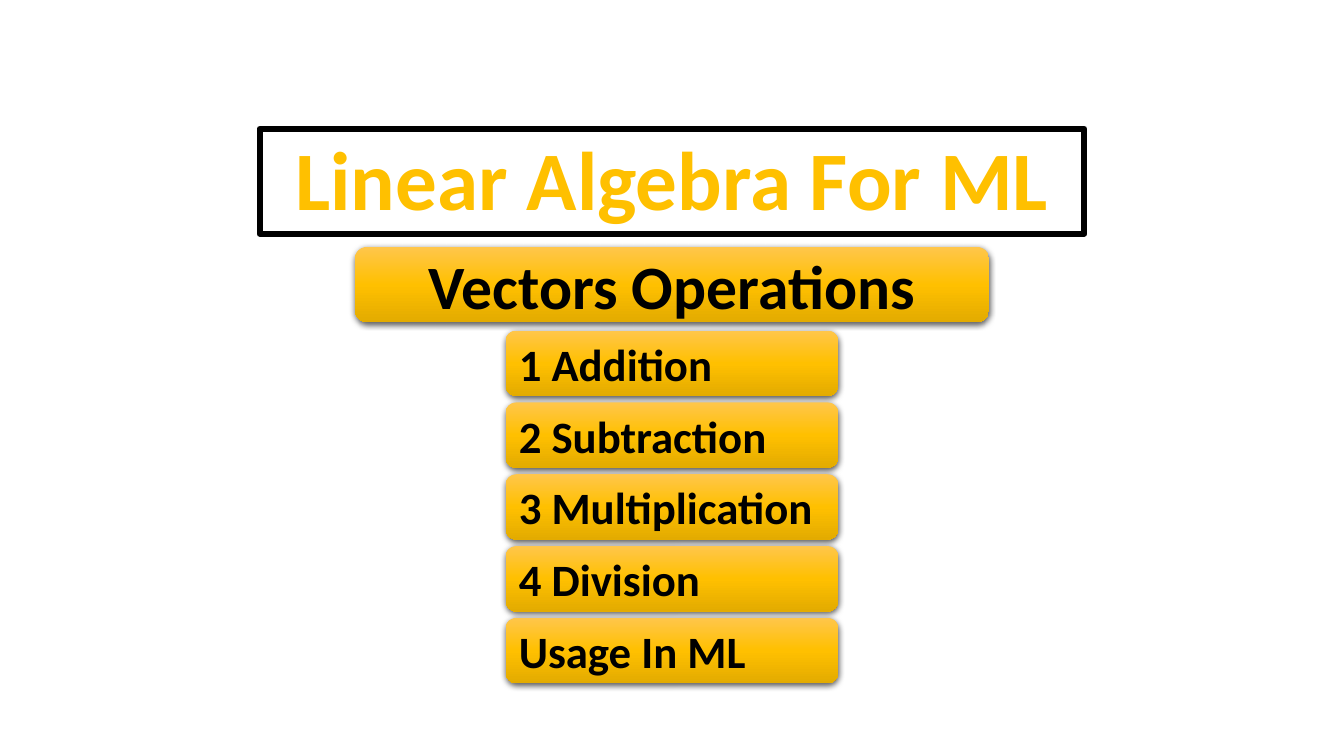
import pptx
import pptx.util
import pptx.dml.color
import pptx.enum.shapes
import pptx.enum.text
import pptx.oxml
import pptx.oxml.ns
from dataclasses import dataclass

Cm, Pt = pptx.util.Cm, pptx.util.Pt
RGBColor = pptx.dml.color.RGBColor
MSO_SHAPE = pptx.enum.shapes.MSO_SHAPE
ANCHOR = pptx.enum.text.MSO_ANCHOR
ALIGN = pptx.enum.text.PP_ALIGN


@dataclass(frozen=True)
class Theme:
    font: str = "Calibri"
    ink: str = "000000"
    gold: str = "FFC000"
    gold_light: str = "FFC64B"
    gold_dark: str = "E3AB00"
    glow: str = "ED7D31"
    title_size: float = 59.4
    heading_size: float = 44
    item_size: float = 32
    frame_width: float = 4.5


THEME = Theme()
SLIDE_WIDTH, SLIDE_HEIGHT = 33.87, 19.05
OPERATIONS = ["1 Addition", "2 Subtraction", "3 Multiplication", "4 Division", "Usage In ML"]


def centred_box(top, width, height):
    return (SLIDE_WIDTH - width) / 2, top, width, height


def shadow_effect(color, opacity, blur, distance, degrees):
    return pptx.oxml.parse_xml(
        f'<a:effectLst {pptx.oxml.ns.nsdecls("a")}>'
        f'<a:outerShdw blurRad="{Pt(blur)}" dist="{Pt(distance)}" dir="{degrees * 60000}" '
        f'algn="ctr" rotWithShape="0"><a:srgbClr val="{color}">'
        f'<a:alpha val="{opacity * 1000}"/></a:srgbClr></a:outerShdw></a:effectLst>')


def gold_gradient():
    colors = (THEME.gold_light, THEME.gold, THEME.gold_dark)
    stops = "".join(
        f'<a:gs pos="{index * 50000}"><a:srgbClr val="{color}"/></a:gs>'
        for index, color in enumerate(colors))
    return pptx.oxml.parse_xml(
        f'<a:gradFill {pptx.oxml.ns.nsdecls("a")} rotWithShape="1"><a:gsLst>{stops}</a:gsLst>'
        '<a:lin ang="5400000" scaled="0"/></a:gradFill>')


def add_labelled_shape(slide, kind, box, text, size, color, align, anchor):
    """Add an unfilled shape with one bold line of text; return the shape and its run."""
    shape = slide.shapes.add_shape(kind, *(Cm(length) for length in box))
    shape.shadow.inherit = False
    shape.fill.background()
    frame = shape.text_frame
    paragraph = frame.paragraphs[0]
    run = paragraph.add_run()
    run.text = text
    run.font.color.rgb = RGBColor.from_string(color)
    formats = [
        (frame, {"word_wrap": True, "vertical_anchor": anchor}),
        (paragraph, {"alignment": align}),
        (run.font, {"name": THEME.font, "size": Pt(size), "bold": True}),
    ]
    for target, values in formats:
        for name, value in values.items():
            setattr(target, name, value)
    return shape, run


def add_title(slide, box, text):
    shape, run = add_labelled_shape(slide, MSO_SHAPE.RECTANGLE, box, text, THEME.title_size,
                                    THEME.gold, ALIGN.CENTER, ANCHOR.BOTTOM)
    shape.line.color.rgb = RGBColor.from_string(THEME.ink)
    shape.line.width = Pt(THEME.frame_width)
    shape.text_frame.paragraphs[0].line_spacing = 0.9
    # Text effects follow the text fill.
    run._r.rPr.insert(1, shadow_effect(THEME.glow, 40, 3, 3, 45))


def add_gold_button(slide, box, text, size, align):
    shape, _ = add_labelled_shape(slide, MSO_SHAPE.ROUNDED_RECTANGLE, box, text, size,
                                  THEME.ink, align, ANCHOR.MIDDLE)
    shape.line.fill.background()
    properties = shape._element.spPr
    for tag, element in (("a:noFill", gold_gradient()),
                         ("a:effectLst", shadow_effect(THEME.ink, 63, 4.5, 1.5, 90))):
        properties.replace(properties.find(pptx.oxml.ns.qn(tag)), element)


def add_operations(slide, box, pitch):
    """Stack one button per operation downwards from the first button's box."""
    left, top, width, height = box
    for index, operation in enumerate(OPERATIONS):
        add_gold_button(slide, (left, top + index * pitch, width, height), operation,
                        THEME.item_size, ALIGN.LEFT)


def main():
    presentation = pptx.Presentation()
    presentation.slide_width = Cm(SLIDE_WIDTH)
    presentation.slide_height = Cm(SLIDE_HEIGHT)
    slide = presentation.slides.add_slide(presentation.slide_layouts[6])
    add_title(slide, centred_box(3.25, 20.78, 2.64), "Linear Algebra For ML")
    add_gold_button(slide, centred_box(6.22, 15.98, 1.9), "Vectors Operations",
                    THEME.heading_size, ALIGN.CENTER)
    add_operations(slide, centred_box(8.33, 8.38, 1.65), pitch=1.81)
    presentation.save("out.pptx")


if __name__ == "__main__":
    main()
